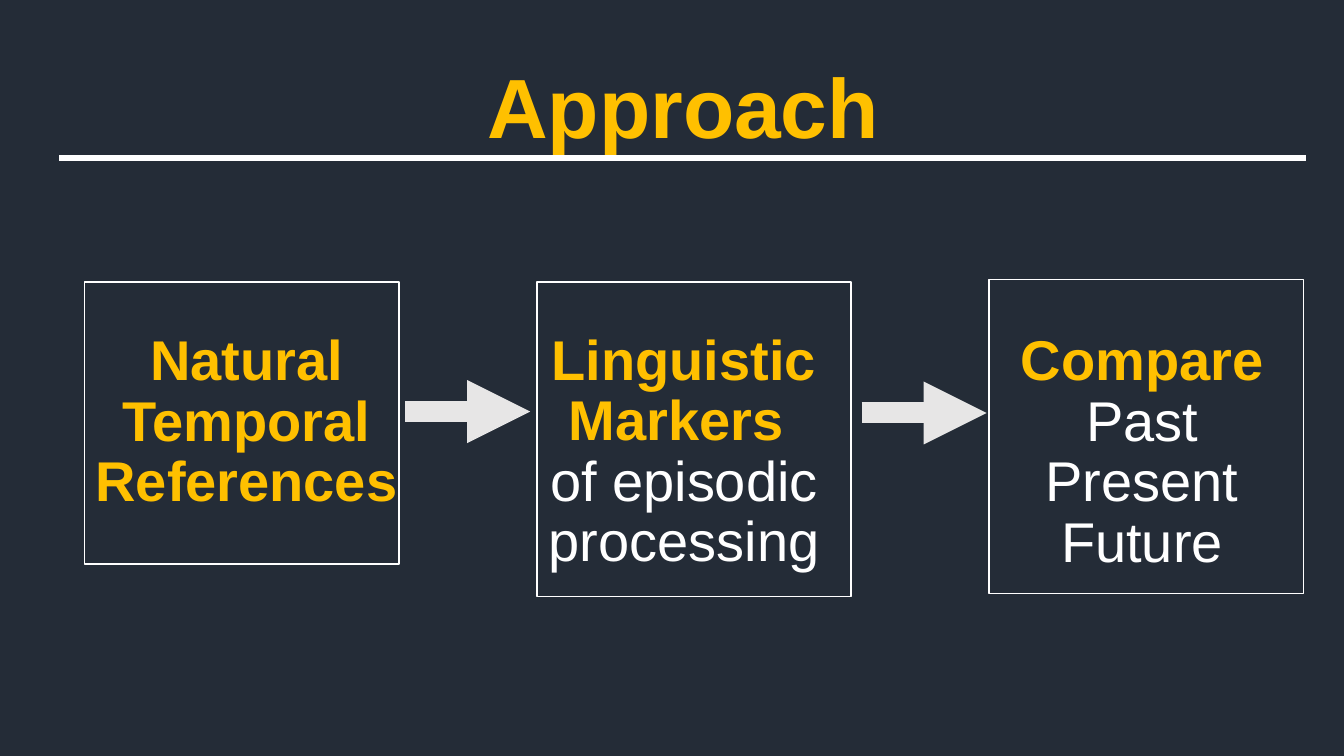
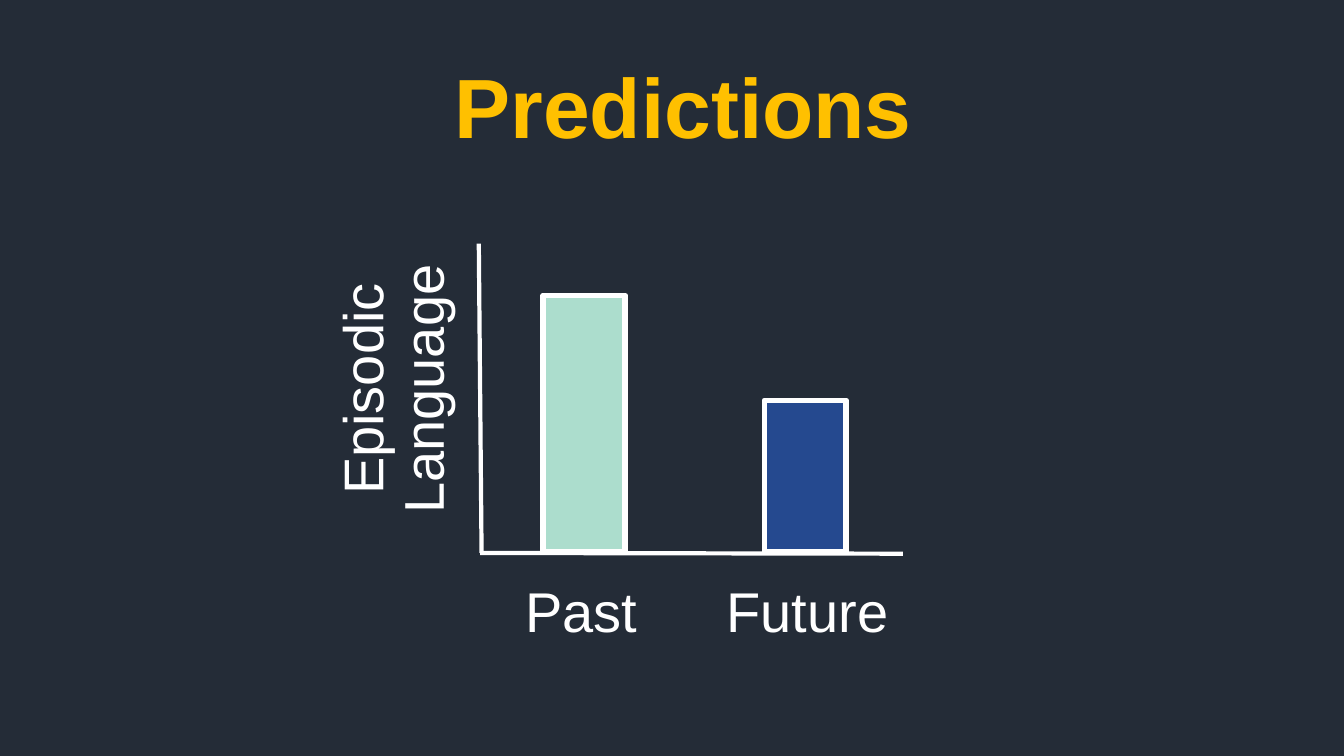
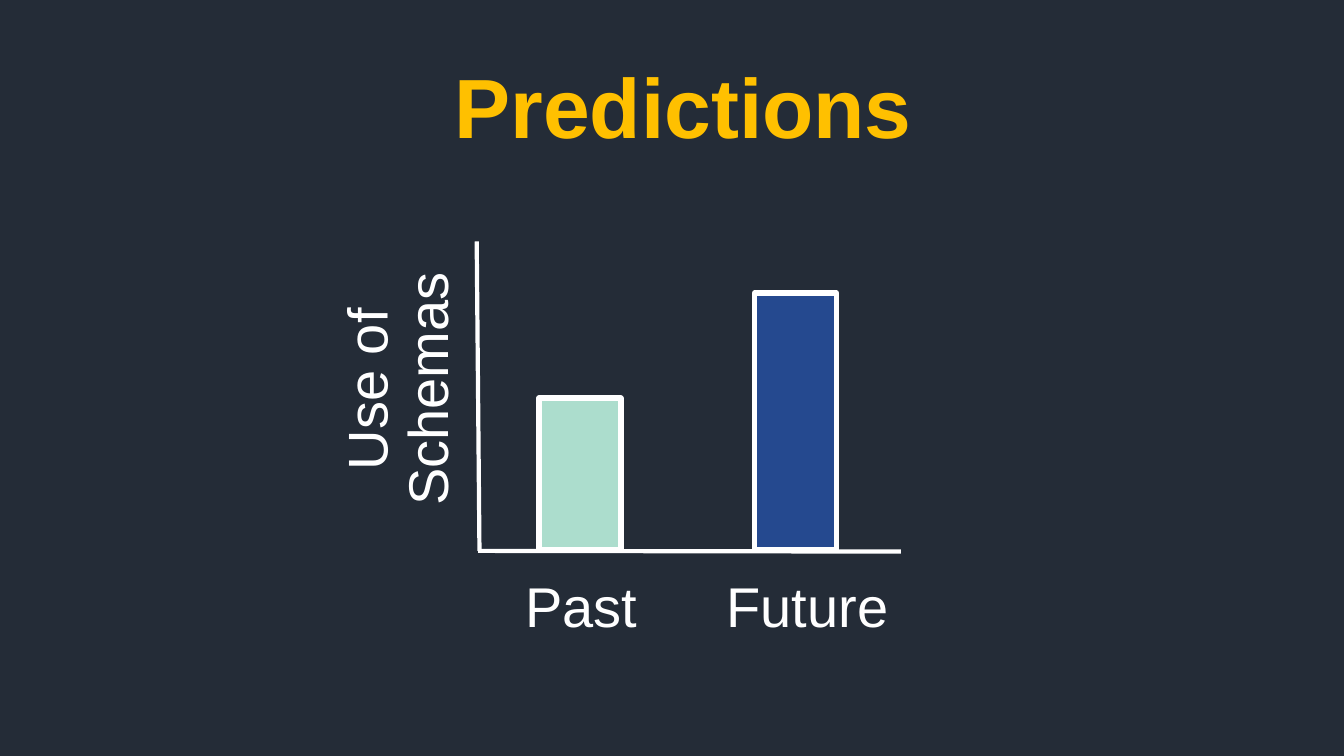
"""Build three slides: an approach flow and two prediction plots."""
from dataclasses import dataclass

import pptx
import pptx.dml.color
import pptx.enum.shapes
import pptx.enum.text
import pptx.oxml
import pptx.oxml.ns
import pptx.util

Pt = pptx.util.Pt
Align = pptx.enum.text.PP_ALIGN
Anchor = pptx.enum.text.MSO_ANCHOR
Size = pptx.enum.text.MSO_AUTO_SIZE
Shape = pptx.enum.shapes.MSO_SHAPE
Link = pptx.enum.shapes.MSO_CONNECTOR


@dataclass(frozen=True)
class Theme:
    back: str = "242C37"
    gold: str = "FFC000"
    white: str = "FFFFFF"
    gray: str = "E7E6E6"
    mint: str = "ACDDCD"
    blue: str = "25498F"
    font: str = "Arial"
    head: int = 60
    body: int = 40
    tight: float = 0.9


T = Theme()

WIDE, HIGH = 960, 540
TITLE = (8, 20, WIDE, 119)
RULE = (42.5, 113, 933, 113)

STEPS = [
    {"top": 201.5, "high": 201.5, "pad": (6.5, 0, 0),
     "bold": ["Natural Temporal References"], "plain": []},
    {"top": 201.5, "high": 224.5, "pad": (0, 19.5, 14.5),
     "bold": ["Linguistic Markers "], "plain": ["of episodic processing"]},
    {"top": 199.5, "high": 224.5, "pad": (0, 24, 6),
     "bold": ["Compare"], "plain": ["Past", "Present", "Future"]},
]
LEFT, STEP, SIDE = 60.5, 323, 224.5
ARROWS = [(289.5, 294), (615.5, 295)]
REACH = 89.25

PLOTS = [
    {"name": "Episodic Language", "side": 193, "base": (344, 395), "drop": 13,
     "bars": [(388, 183, T.mint), (546, 108, T.blue)]},
    {"name": "Use of Schemas", "side": 196, "base": (342.5, 393.5), "drop": 11,
     "bars": [(385, 108, T.mint), (539, 183, T.blue)]},
]
NAMES = ["Past", "Future"]
BAR, TAB = 58.5, 144


def rgb(code):
    return pptx.dml.color.RGBColor.from_string(code)


def apply(item, form):
    for key, val in form.items():
        setattr(item, key, val)


def node(tag, **attrs):
    item = pptx.oxml.parse_xml(f"<a:{tag} {pptx.oxml.ns.nsdecls('a')}/>")
    for key, val in attrs.items():
        item.set(key, val)
    return item


def write(frame, lines, size=T.body, align=Align.CENTER, gap=T.tight, tab=None, **form):
    apply(frame, {"word_wrap": True, "auto_size": Size.NONE,
                  "vertical_anchor": Anchor.MIDDLE, **form})
    for num, (text, code, bold) in enumerate(lines):
        para = frame.add_paragraph() if num else frame.paragraphs[0]
        para.text = text
        apply(para, {"alignment": align, "line_spacing": gap, "space_before": Pt(0)})
        if tab:
            stops = node("tabLst")
            stops.append(node("tab", pos=str(Pt(tab)), algn="l"))
            para._p.get_or_add_pPr().append(stops)
        for run in para.runs:
            apply(run.font, {"name": T.font, "size": Pt(size), "bold": bold})
            run.font.color.rgb = rgb(code)


def text(slide, area, lines, **form):
    box = slide.shapes.add_textbox(*map(Pt, area))
    write(box.text_frame, lines, **form)
    return box


def line(slide, ends, width, code=T.white, arrow=False):
    link = slide.shapes.add_connector(Link.STRAIGHT, *map(Pt, ends))
    link.line.width = Pt(width)
    link.line.color.rgb = rgb(code)
    if arrow:
        link.line._get_or_add_ln().append(node("tailEnd", type="triangle"))
    link.element.spPr.append(node("effectLst"))


def rect(slide, area, width, fill=None):
    box = slide.shapes.add_shape(Shape.RECTANGLE, *map(Pt, area))
    box.shadow.inherit = False
    box.line.width = Pt(width)
    box.line.color.rgb = rgb(T.white)
    if fill:
        box.fill.solid()
        box.fill.fore_color.rgb = rgb(fill)
    else:
        box.fill.background()
    return box


def start(deck, name):
    slide = deck.slides.add_slide(deck.slide_layouts[5])
    head = slide.shapes.title
    apply(head, dict(zip(("left", "top", "width", "height"), map(Pt, TITLE))))
    write(head.text_frame, [(name, T.gold, True)], size=T.head)
    return slide


def flow(deck):
    slide = start(deck, "Approach")
    line(slide, RULE, 4.5)
    for num, step in enumerate(STEPS):
        box = rect(slide, (LEFT + num * STEP, step["top"], SIDE, step["high"]), 1)
        left, top, right = map(Pt, step["pad"])
        lines = [(row, T.gold, True) for row in step["bold"]]
        lines += [(row, T.white, False) for row in step["plain"]]
        write(box.text_frame, lines, margin_left=left, margin_top=top,
              margin_right=right, margin_bottom=0)
    for x, y in ARROWS:
        line(slide, (x, y, x + REACH, y), 15, T.gray, arrow=True)


def plot(deck, data):
    slide = start(deck, "Predictions")
    x, y = data["base"]
    for left, high, fill in data["bars"]:
        rect(slide, (left, y - 1 - high, BAR, high), 4, fill)
    text(slide, (368, y + data["drop"], 276.5, 55.5),
         [("\t".join(NAMES), T.white, False)], align=Align.LEFT, gap=1, tab=TAB,
         word_wrap=False, vertical_anchor=Anchor.TOP)
    line(slide, (x - 2, y - 221, x, y), 3)
    line(slide, (x - 1, y, x + 301, y + 0.5), 3)
    side = text(slide, (data["side"], 159, 179, 238), [(data["name"], T.white, False)])
    side.element.txBody.bodyPr.set("vert", "vert270")


def main():
    deck = pptx.Presentation()
    apply(deck, {"slide_width": Pt(WIDE), "slide_height": Pt(HIGH)})
    back = deck.slide_master.background.fill
    back.solid()
    back.fore_color.rgb = rgb(T.back)
    flow(deck)
    for data in PLOTS:
        plot(deck, data)
    deck.save("out.pptx")


if __name__ == "__main__":
    main()
